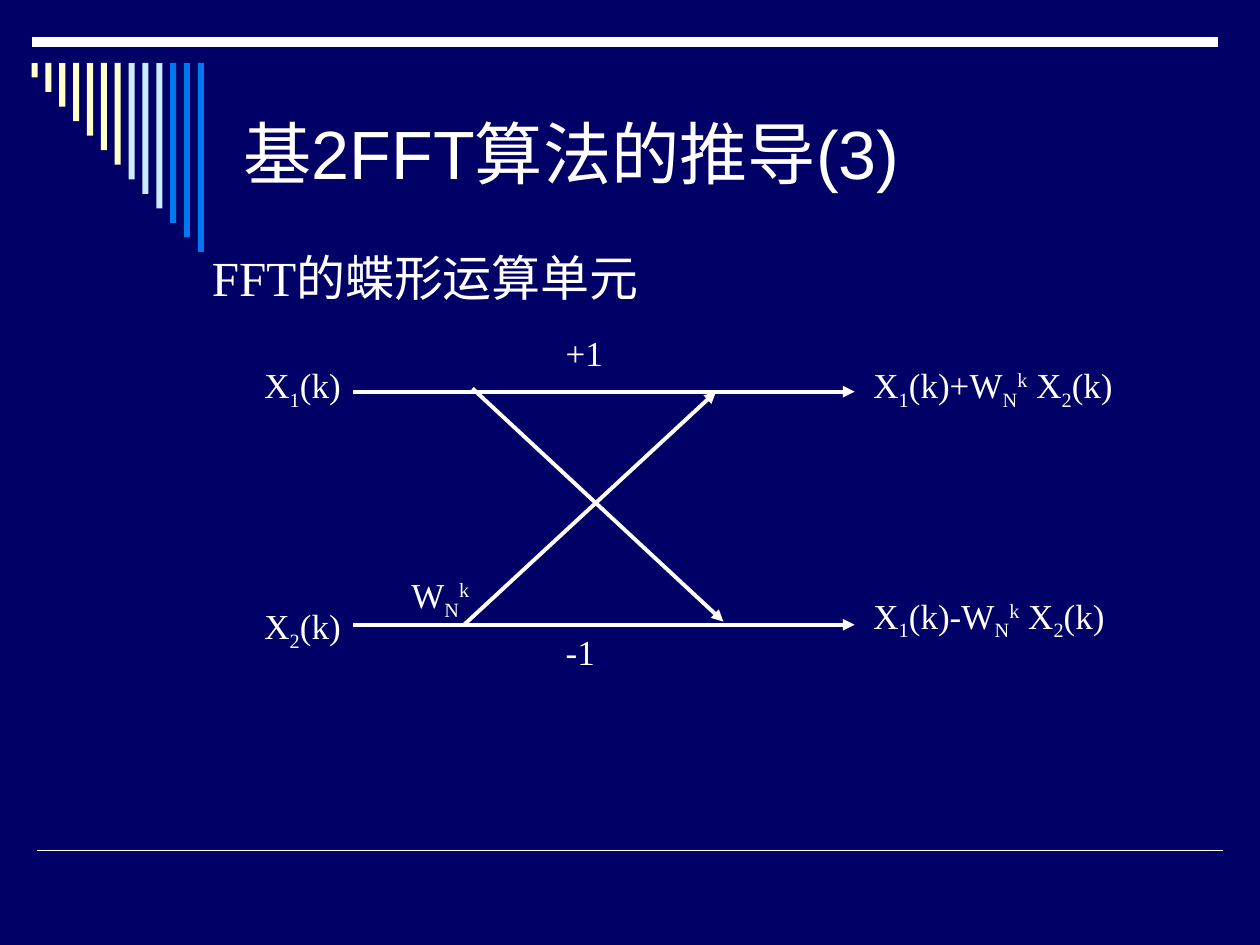
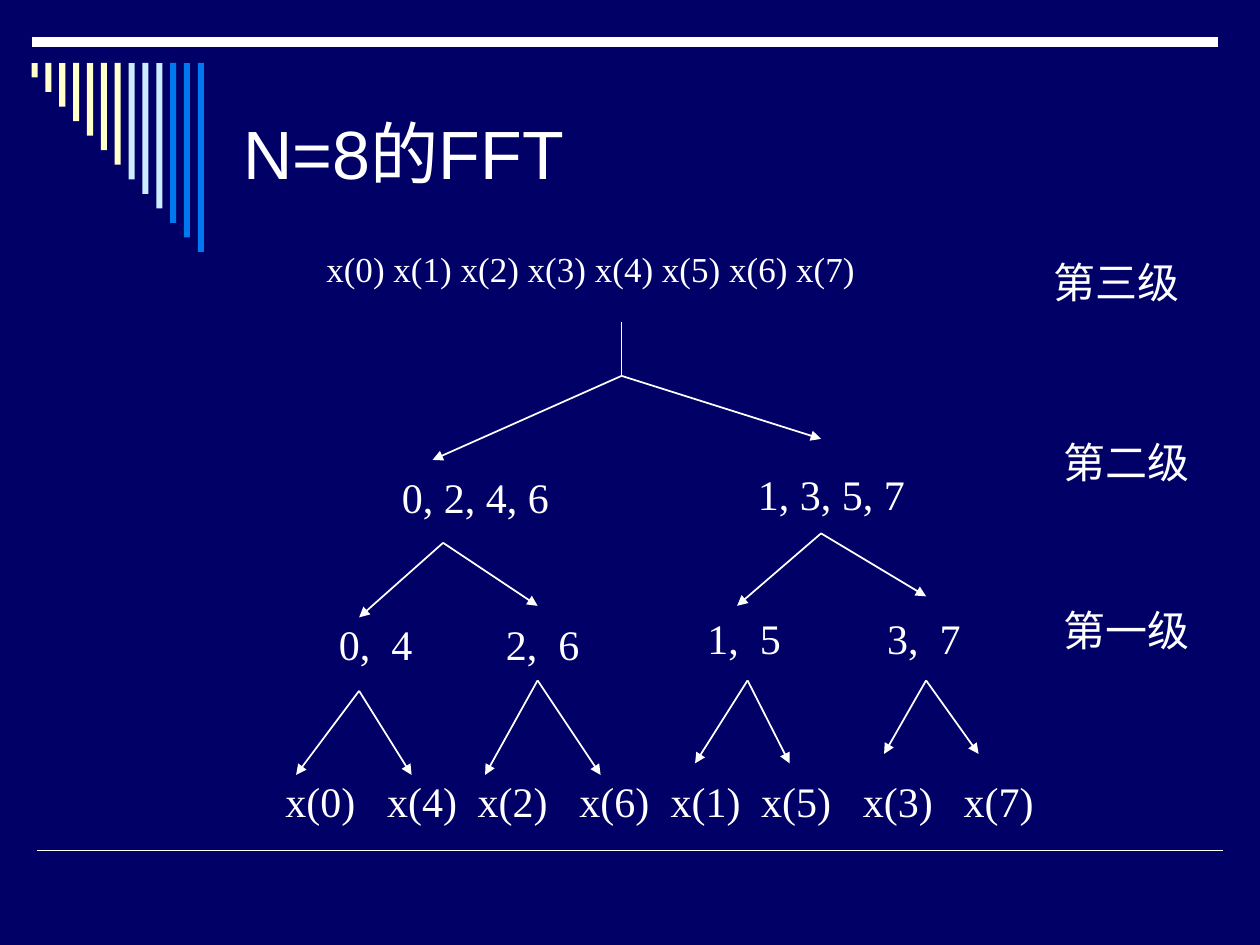
from lxml.etree import SubElement
from pptx import Presentation
from pptx.dml.color import RGBColor
from pptx.enum.shapes import MSO_CONNECTOR as CONN, MSO_SHAPE as SHAPE
from pptx.enum.text import MSO_ANCHOR as ANCHOR, MSO_AUTO_SIZE as FIT, PP_ALIGN as ALIGN
from pptx.oxml.ns import qn
from pptx.util import Inches, Pt

COLORS = {"back": "000066", "ink": "FFFFFF", "cream": "FFFFCC", "pale": "CCECFF", "blue": "0078F0"}
RGB = {name: RGBColor.from_string(value) for name, value in COLORS.items()}
BASELINES = {"_": "-25000", "^": "30000"}

prs = Presentation()
prs.slide_width, prs.slide_height = Inches(10), Inches(7.5)
U = prs.slide_width // 120  # the slide is a grid of 120 columns by 90 rows


def write(s, text, x, y, w, h, size=24, font="Times New Roman", anchor=ANCHOR.TOP, tabs=(), sp=None):
    """Put text in sp or a new box; _ lowers and ^ raises the next character."""
    sp = sp or s.shapes.add_textbox(0, 0, 0, 0)
    sp.left, sp.top, sp.width, sp.height = [int(v * U) for v in (x, y, w, h)]
    tf = sp.text_frame
    tf.word_wrap, tf.auto_size, tf.vertical_anchor = True, FIT.NONE, anchor
    p = tf.paragraphs[0]
    p.alignment = ALIGN.LEFT
    if tabs:
        stops = SubElement(p._p.get_or_add_pPr(), qn("a:tabLst"))
        for stop in tabs:
            SubElement(stops, qn("a:tab"), pos=str(int(stop * U)), algn="l")
    pieces = []
    mark = ""
    for char in text:
        if char in BASELINES:
            mark = char
        elif pieces and not mark and not pieces[-1][0]:
            pieces[-1][1] += char
        else:
            pieces.append([mark, char])
            mark = ""
    for mark, piece in pieces:
        r = p.add_run()
        r.text = piece
        r.font.size, r.font.name = Pt(size), font
        r.font.color.rgb = RGB["ink"]
        if mark:
            r._r.get_or_add_rPr().set("baseline", BASELINES[mark])


def line(s, x1, y1, x2, y2, width=1, arrow=True):
    c = s.shapes.add_connector(CONN.STRAIGHT, *[int(v * U) for v in (x1, y1, x2, y2)])
    c.line.color.rgb, c.line.width = RGB["ink"], Pt(width)
    if arrow:
        SubElement(c.line._get_or_add_ln(), qn("a:tailEnd"), type="triangle")
    SubElement(c._element.spPr, qn("a:effectLst"))


# Shared frame: background, rules, stepped bars and title
background = prs.slide_master.background.fill
background.solid()
background.fore_color.rgb = RGB["back"]
bar_colors = ["cream"] * 7 + ["pale"] * 3 + ["blue"] * 3
slides = []
for title in ("基2FFT算法的推导(3)", "N=8的FFT"):
    s = prs.slides.add_slide(prs.slide_layouts[5])
    line(s, 3.5, 81, 116.5, 81, arrow=False)
    line(s, 3, 4, 116, 4, width=6, arrow=False)
    for i, color in enumerate(bar_colors):
        bar_height = 18 / len(bar_colors) * (i + 1)
        bar = s.shapes.add_shape(SHAPE.RECTANGLE, *[int(v * U) for v in (3 + 1.32 * i, 6, 0.58, bar_height)])
        bar.shadow.inherit = False
        bar.fill.solid()
        bar.fill.fore_color.rgb = RGB[color]
        bar.line.fill.background()
    write(s, title, 22, 6, 92, 17, size=39, font="Arial", anchor=ANCHOR.MIDDLE, sp=s.shapes.title)
    slides.append(s)
butterfly, tree = slides

# Butterfly unit
for ends in ((45, 37, 68.9, 59.2), (44.2, 59.5, 68.2, 37.3), (33.6, 37.3, 81.4, 37.3), (33.6, 59.5, 81.4, 59.5)):
    line(butterfly, *ends, width=2.25)
for text, x, y, w in (
    ("-1", 52.7, 59.5, 7.2),
    ("X_2(k)", 24, 57, 12),
    ("W_N^k", 38, 54, 12),
    ("X_1(k)+W_N^k X_2(k)", 82, 34, 31),
    ("X_1(k)-W_N^k X_2(k)", 82, 56, 30),
    ("+1", 52.7, 31, 9.6),
    ("X_1(k)", 24, 34, 12),
):
    write(butterfly, text, x, y, w, 9.5, size=20)
write(butterfly, "FFT的蝶形运算单元", 19, 23, 49, 6.8, size=28)

# Decomposition tree: each fork has one top and two arrow tips
line(tree, 59.2, 30.7, 59.2, 35.8, arrow=False)
for top, *tips in (
    ((59.2, 35.8), (41.2, 43.8), (78.2, 41.8)),
    ((42.2, 51.7), (34.2, 58.8), (51.2, 57.7)),
    ((78.2, 50.8), (70.2, 57.7), (88.2, 56.8)),
    ((34.2, 65.8), (28.2, 73.8), (39.2, 73.8)),
    ((51.2, 64.8), (46.2, 73.8), (57.2, 73.8)),
    ((71.2, 64.8), (66.2, 72.7), (75.2, 72.7)),
    ((88.2, 64.8), (84.2, 71.8), (93.2, 71.8)),
):
    for tip in tips:
        line(tree, *top, *tip)

write(tree, " ".join(f"x({n})" for n in range(8)), 29.9, 23, 54, 5.3, size=20)
for text, x, y in (("0, 2, 4, 6", 37.1, 44.3), ("1, 3, 5, 7", 71, 44)):
    write(tree, text, x, y, 17, 6)
for text, x, y in (("0,\t4", 31.1, 58.3), ("2,\t6", 47, 58.3), ("1,\t5", 66.2, 57.7), ("3,\t7", 83.3, 57.7)):
    write(tree, text, x, y, 10.5, 6, tabs=[5])
leaves = "\t".join(f"x({n})" for n in (0, 4, 2, 6, 1, 5, 3, 7))
write(tree, leaves, 26, 73.3, 73.7, 6, tabs=[9.7, 18.3, 28, 36.7, 45.3, 55, 64.6])
for text, x, y in (("第一级", 100.1, 57), ("第二级", 100.1, 41), ("第三级", 99.2, 23.8)):
    write(tree, text, x, y, 15.5, 6)

prs.save("out.pptx")
